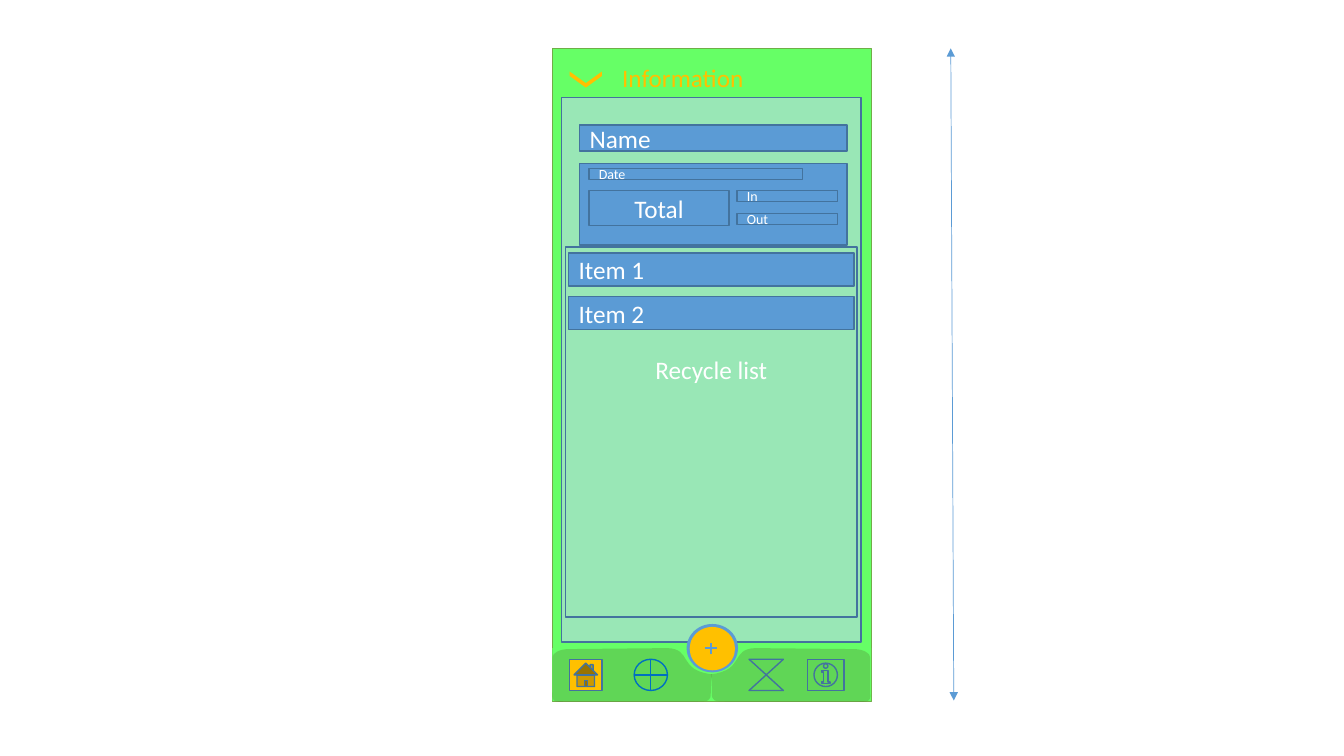
from dataclasses import dataclass
from typing import Optional

from lxml import etree
from pptx import Presentation
from pptx.dml.color import RGBColor
from pptx.enum import shapes, text
from pptx.oxml import ns
from pptx.util import Inches, Pt

SHAPE = shapes.MSO_SHAPE
LEFT, CENTER = text.PP_ALIGN.LEFT, text.PP_ALIGN.CENTER
GREEN = RGBColor(0x66, 0xFF, 0x66)
DARK_GREEN = RGBColor(0x54, 0x82, 0x35)
EDGE_GREEN = RGBColor(0x70, 0xAD, 0x47)
BLUE = RGBColor(0x5B, 0x9B, 0xD5)
EDGE_BLUE = RGBColor(0x43, 0x73, 0x9E)
ICON_BLUE = RGBColor(0x00, 0x70, 0xC0)
PALE_BLUE = RGBColor(0xBD, 0xD7, 0xEE)
GOLD = RGBColor(0xFF, 0xC0, 0x00)
WHITE = RGBColor(0xFF, 0xFF, 0xFF)


@dataclass
class Part:
    left: float
    top: float
    width: float
    height: float
    fill: Optional[RGBColor] = BLUE
    line: Optional[RGBColor] = EDGE_BLUE
    label: str = ""
    size: int = 18
    align: text.PP_ALIGN = LEFT
    kind: SHAPE = SHAPE.RECTANGLE
    opacity: int = 100
    weight: float = 1


def paint(shape, fill, line, weight: float = 1, opacity: int = 100) -> None:
    shape.shadow.inherit = False
    if fill is None:
        shape.fill.background()
    else:
        shape.fill.solid()
        shape.fill.fore_color.rgb = fill
        if opacity < 100:
            color = shape.fill._xPr.find(".//" + ns.qn("a:srgbClr"))
            etree.SubElement(color, ns.qn("a:alpha"), val=str(opacity * 1000))
    if line is None:
        shape.line.fill.background()
    else:
        shape.line.color.rgb = line
        shape.line.width = Pt(weight)


def write(shape, label: str, size: int, color: RGBColor, align) -> None:
    shape.text_frame.text = label
    paragraph = shape.text_frame.paragraphs[0]
    paragraph.alignment = align
    font_format = {"name": "Calibri", "size": Pt(size), "bold": False}
    for name, value in font_format.items():
        setattr(paragraph.runs[0].font, name, value)
    paragraph.runs[0].font.color.rgb = color


def draw(part: Part):
    box = map(Inches, (part.left, part.top, part.width, part.height))
    shape = slide.shapes.add_shape(part.kind, *box)
    paint(shape, part.fill, part.line, part.weight, part.opacity)
    if part.label:
        write(shape, part.label, part.size, WHITE, part.align)
    return shape


def connect(x1: float, y1: float, x2: float, y2: float,
            weight: float = 1, arrows: bool = False) -> None:
    connector = slide.shapes.add_connector(
        shapes.MSO_CONNECTOR.STRAIGHT, *map(Inches, (x1, y1, x2, y2)))
    connector.line.color.rgb = BLUE
    connector.line.width = Pt(weight)
    if arrows:
        line = connector.line._get_or_add_ln()
        for end in ("a:headEnd", "a:tailEnd"):
            etree.SubElement(line, ns.qn(end), type="triangle")
    etree.SubElement(connector._element.spPr, ns.qn("a:effectLst"))


# Each segment of the left tab: one point for a line, three for a curve
TAB_START = (5.48, 6.52)
TAB_SEGMENTS = [
    [(5.48, 6.48), (5.55, 6.44), (5.64, 6.44)],
    [(6.62, 6.43)],
    [(6.87, 6.44), (6.72, 6.65), (7.06, 6.69)],
    [(7.05, 6.75), (7.05, 6.81), (7.05, 6.87)],
    [(7.05, 6.96), (7.03, 6.96), (6.89, 6.96)],
    [(5.64, 6.96)],
    [(5.55, 6.96), (5.46, 6.99), (5.48, 6.87)],
]
MIRROR_SUM = 14.11  # x of a left point plus x of its right twin


def draw_tab(mirrored: bool) -> None:
    def place(point: tuple) -> tuple:
        x, y = point
        return Inches(MIRROR_SUM - x if mirrored else x), Inches(y)

    builder = slide.shapes.build_freeform(*place(TAB_START), scale=1.0)
    builder.add_line_segments([place(segment[-1]) for segment in TAB_SEGMENTS])
    shape = builder.convert_to_shape()
    # Bend the straight segments that have control points
    lines = list(shape._element.iter(ns.qn("a:lnTo")))
    for line, segment in zip(lines, TAB_SEGMENTS):
        if len(segment) == 3:
            bend = etree.Element(ns.qn("a:cubicBezTo"))
            for x, y in map(place, segment):
                etree.SubElement(bend, ns.qn("a:pt"), x=str(x - shape.left),
                                 y=str(y - shape.top))
            line.getparent().replace(line, bend)
    paint(shape, DARK_GREEN, None, opacity=32)


presentation = Presentation()
presentation.slide_width, presentation.slide_height = Inches(13.33), Inches(7.5)
slide = presentation.slides.add_slide(presentation.slide_layouts[5])

# Phone screen and height arrow
draw(Part(5.48, 0.48, 3.16, 6.48, GREEN, EDGE_GREEN, weight=0.5))
connect(9.43, 0.48, 9.46, 6.95, 0.5, arrows=True)

# Navigation bar: each tab followed by its icons
draw(Part(5.48, 6.43, 3.16, 0.52, GREEN, None))
draw_tab(mirrored=False)
draw(Part(5.65, 6.54, 0.32, 0.31, GOLD, kind=SHAPE.ACTION_BUTTON_HOME))
draw(Part(6.29, 6.54, 0.33, 0.31, None, ICON_BLUE, kind=SHAPE.FLOWCHART_OR))
draw_tab(mirrored=True)
draw(Part(7.43, 6.54, 0.34, 0.31, None, kind=SHAPE.FLOWCHART_COLLATE))
draw(Part(8.01, 6.54, 0.36, 0.31, None, kind=SHAPE.ACTION_BUTTON_INFORMATION))

# Header: chevron, content panel and title
chevron = draw(Part(5.73, 0.63, 0.16, 0.32, GOLD, None, kind=SHAPE.CHEVRON))
chevron.rotation = 90
chevron.adjustments[0] = 0.723
draw(Part(5.57, 0.97, 2.97, 5.4, PALE_BLUE, label="Recycle list",
          align=CENTER, opacity=59))

title = slide.shapes.title
slide.shapes._spTree.append(title._element)
title_box = {"left": 6.07, "top": 0.57, "width": 1.78, "height": 0.4}
for name, value in title_box.items():
    setattr(title, name, Inches(value))
write(title, "Information", 18, GOLD, LEFT)
frame_format = {"word_wrap": True, "vertical_anchor": text.MSO_ANCHOR.TOP,
                "auto_size": text.MSO_AUTO_SIZE.SHAPE_TO_FIT_TEXT}
for name, value in frame_format.items():
    setattr(title.text_frame, name, value)

# Add button
draw(Part(6.81, 6.19, 0.51, 0.48, BLUE, None, kind=SHAPE.OVAL))
draw(Part(6.84, 6.22, 0.45, 0.43, GOLD, None, kind=SHAPE.OVAL))
connect(7.05, 6.38, 7.05, 6.49)
connect(6.99, 6.43, 7.11, 6.43)

# Name and summary card
for field in (
    Part(5.75, 1.24, 2.65, 0.26, label="Name"),
    Part(5.75, 1.62, 2.65, 0.81),
    Part(5.84, 1.67, 2.12, 0.11, label="Date", size=10),
    Part(5.84, 1.89, 1.39, 0.35, label="Total", align=CENTER),
    Part(7.31, 1.89, 1, 0.11, label="In", size=10),
    Part(7.31, 2.12, 1, 0.11, label="Out", size=10),
):
    draw(field)

# List items and the list frame
for index in range(2):
    draw(Part(5.64, 2.51 + 0.43 * index, 2.83, 0.33, label=f"Item {index + 1}"))
draw(Part(5.61, 2.45, 2.89, 3.67, None))

presentation.save("out.pptx")
